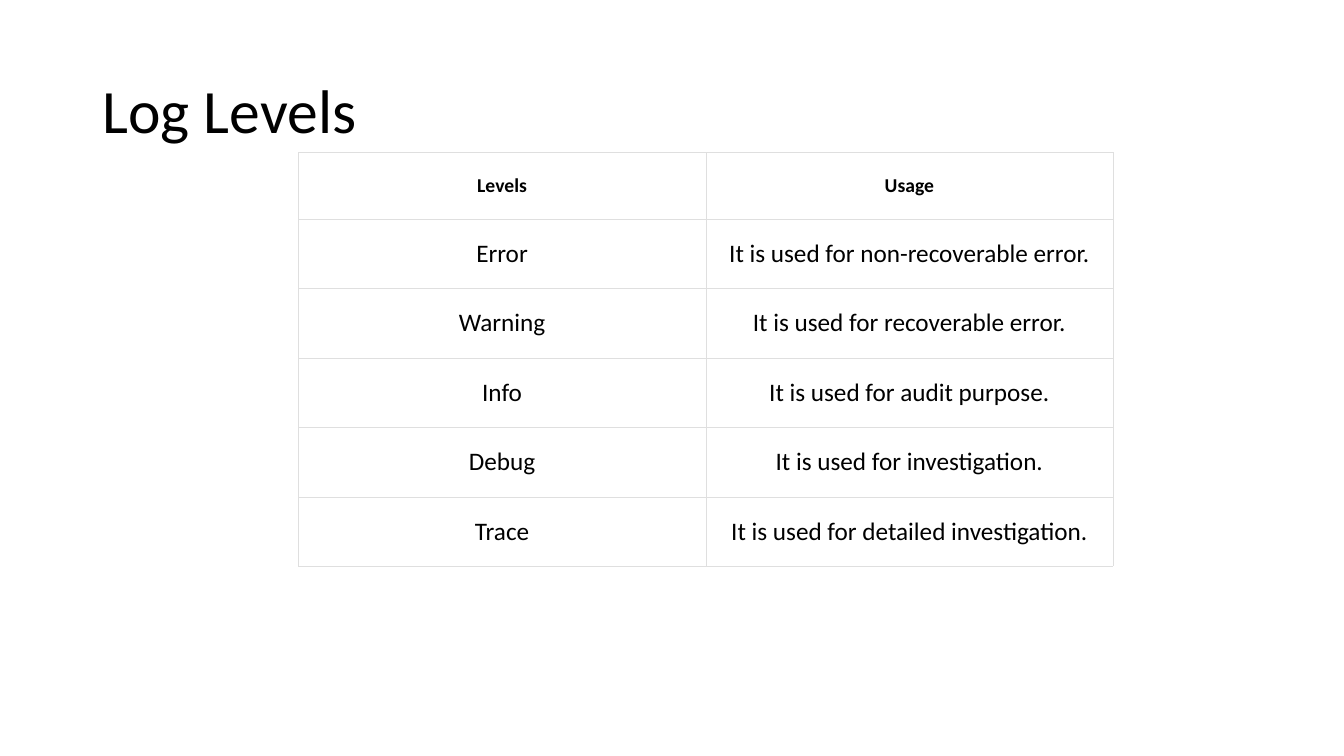
from dataclasses import dataclass

from lxml import etree
from pptx import Presentation
from pptx.dml.color import RGBColor
from pptx.enum.text import MSO_ANCHOR, PP_ALIGN
from pptx.oxml.ns import qn
from pptx.util import Inches, Pt

MIDDLE = MSO_ANCHOR.MIDDLE
LEFT, CENTER = PP_ALIGN.LEFT, PP_ALIGN.CENTER


@dataclass(frozen=True)
class Theme:
    font: str = "Calibri"
    ink: str = "000000"
    paper: str = "FFFFFF"
    rule: str = "DFDFDF"
    rule_width: float = 0.1
    title: int = 44
    head: int = 14
    body: int = 18


THEME = Theme()
SIZE = (13.33, 7.5)
TITLE_BOX = (0.92, 0.4, 11.5, 1.45)
TABLE_BOX = (2.96, 1.51, 8.08, 4.11)
HEAD_HEIGHT = 0.66
LEVELS = [
    ("Levels", "Usage"),
    ("Error", "It is used for non-recoverable error."),
    ("Warning", "It is used for recoverable error."),
    ("Info", "It is used for audit purpose."),
    ("Debug", "It is used for investigation."),
    ("Trace", "It is used for detailed investigation."),
]


def assign(target, values):
    for name, value in values.items():
        setattr(target, name, value)


def write(frame, text, size, bold=False, align=LEFT, spacing=1.0):
    para = frame.paragraphs[0]
    assign(para, {"alignment": align, "line_spacing": spacing})
    run = para.add_run()
    run.text = text
    assign(run.font, {"name": THEME.font, "size": Pt(size), "bold": bold})
    run.font.color.rgb = RGBColor.from_string(THEME.ink)


def border(cell):
    """Rule all four sides; line elements must precede the cell's fill."""
    props = cell._tc.get_or_add_tcPr()
    for index, side in enumerate("LRTB"):
        line = etree.Element(qn(f"a:ln{side}"), w=str(Pt(THEME.rule_width)))
        fill = etree.SubElement(line, qn("a:solidFill"))
        etree.SubElement(fill, qn("a:srgbClr"), val=THEME.rule)
        props.insert(index, line)


def add_title(slide, box, text):
    frame = slide.shapes.add_textbox(*map(Inches, box)).text_frame
    assign(frame, {"word_wrap": True, "vertical_anchor": MIDDLE})
    write(frame, text, THEME.title, spacing=0.9)


def fill_cell(cell, text, head):
    side, edge = Inches(0.05), Inches(0.05 if head else 0.06)
    assign(cell, {
        "vertical_anchor": MIDDLE,
        "margin_left": side, "margin_right": side,
        "margin_top": edge, "margin_bottom": edge,
    })
    cell.fill.solid()
    cell.fill.fore_color.rgb = RGBColor.from_string(THEME.paper)
    size = THEME.head if head else THEME.body
    write(cell.text_frame, text, size, head, CENTER)
    border(cell)


def add_levels(slide, box, rows):
    count, width = len(rows), len(rows[0])
    table = slide.shapes.add_table(count, width, *map(Inches, box)).table
    assign(table, {"first_row": False, "horz_banding": False})
    body_height = (box[3] - HEAD_HEIGHT) / (count - 1)
    for column in table.columns:
        column.width = Inches(box[2] / width)
    for r, texts in enumerate(rows):
        head = r == 0
        table.rows[r].height = Inches(HEAD_HEIGHT if head else body_height)
        for c, text in enumerate(texts):
            fill_cell(table.cell(r, c), text, head)


def main():
    deck = Presentation()
    deck.slide_width, deck.slide_height = map(Inches, SIZE)
    slide = deck.slides.add_slide(deck.slide_layouts[6])
    add_title(slide, TITLE_BOX, "Log Levels")
    add_levels(slide, TABLE_BOX, LEVELS)
    deck.save("out.pptx")


if __name__ == "__main__":
    main()
